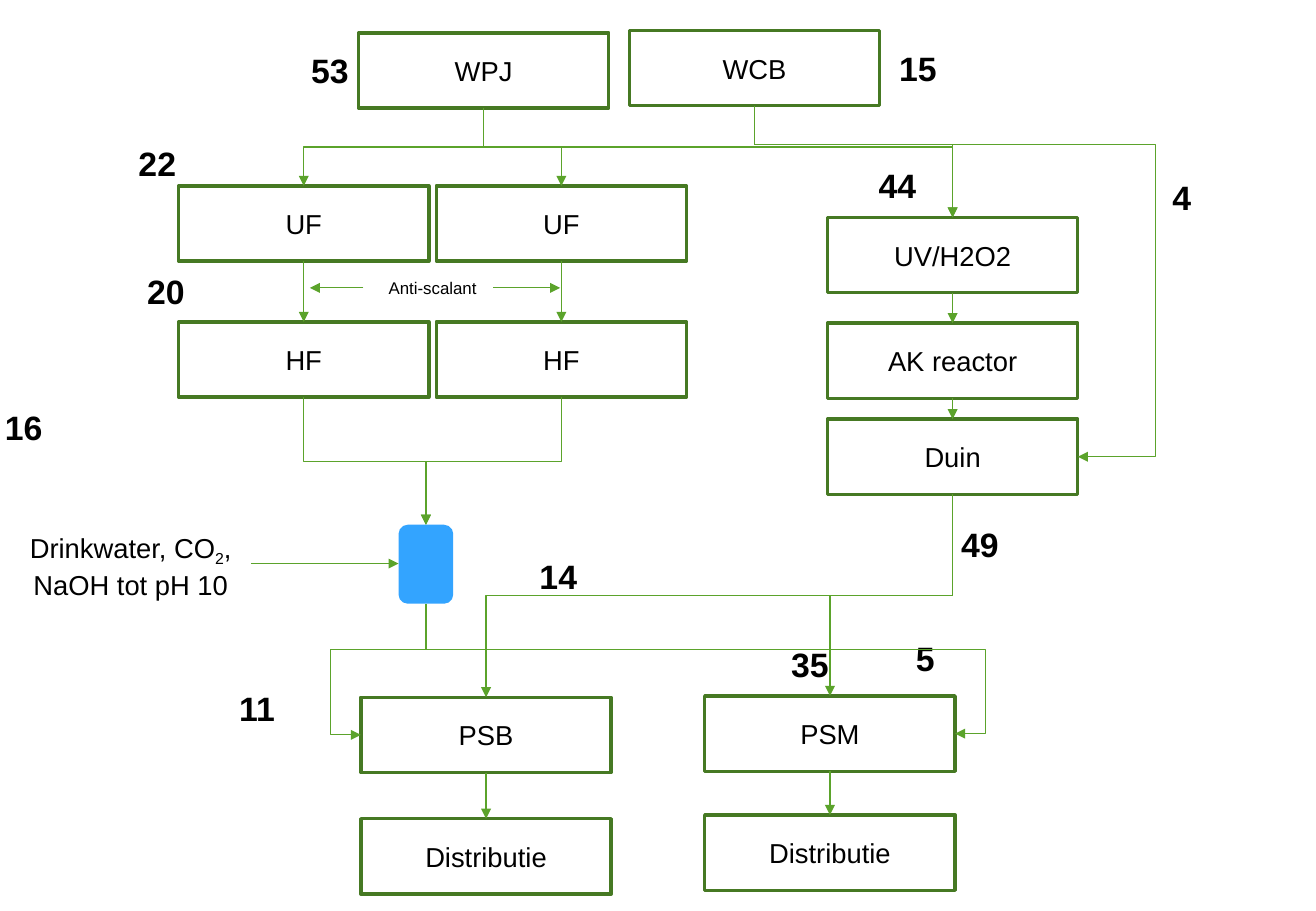
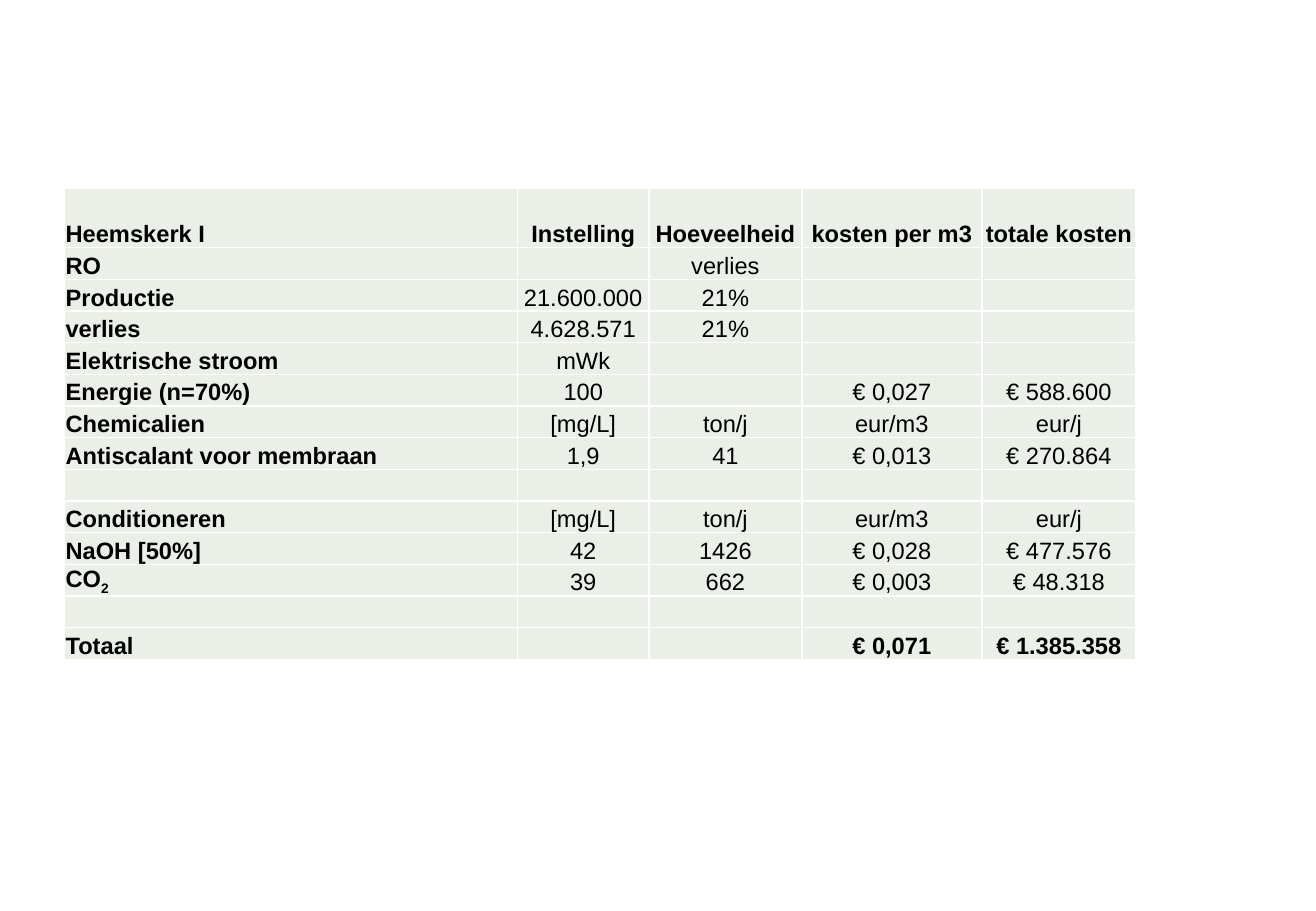
from lxml import etree
from pptx import Presentation
from pptx import util as u
from pptx.dml.color import RGBColor
from pptx.enum import shapes, text
from pptx.oxml import ns

FONT = "Arial"
BLACK, WHITE = "000000", "FFFFFF"
BOX_LINE, FLOW_LINE, TANK_FILL, CELL_FILL = "467923", "5BA32B", "33A4FF", "EAF0E8"
BOX_W, BOX_H = 2.06, 0.62
TOP, LEFT, BOTTOM, RIGHT = range(4)
CENTER = text.PP_ALIGN.CENTER

STEPS = {
    "wpj": ("WPJ", 2.95, 0.27),
    "wcb": ("WCB", 5.18, 0.25),
    "uf1": ("UF", 1.47, 1.53),
    "uf2": ("UF", 3.59, 1.53),
    "hf1": ("HF", 1.47, 2.65),
    "hf2": ("HF", 3.59, 2.65),
    "uv": ("UV/H2O2", 6.81, 1.79),
    "ak": ("AK reactor", 6.81, 2.66),
    "duin": ("Duin", 6.81, 3.45),
    "psb": ("PSB", 2.97, 5.74),
    "psm": ("PSM", 5.8, 5.73),
    "dist1": ("Distributie", 2.97, 6.74),
    "dist2": ("Distributie", 5.8, 6.71),
}
FLOWS = [
    ("53", 2.43, 0.36), ("15", 7.27, 0.34), ("22", 1.01, 1.13),
    ("20", 1.08, 2.18), ("16", -0.09, 3.3), ("44", 7.1, 1.31),
    ("4", 9.44, 1.41), ("14", 4.31, 4.53), ("11", 1.83, 5.61),
    ("5", 7.33, 5.2), ("49", 7.78, 4.26), ("35", 6.38, 5.25),
]
STRAIGHT = [("uf1", "hf1"), ("uf2", "hf2"), ("uv", "ak"), ("ak", "duin"),
            ("psb", "dist1"), ("psm", "dist2")]
BENT = [
    ("wpj", "uf1", 0.32), ("wpj", "uf2", 0.32), ("wpj", "uv", 0.32),
    ("wcb", "uv", 0.32), ("hf1", "tank", 0.53), ("hf2", "tank", 0.53),
    ("duin", "psb", 0.83), ("duin", "psm", 0.83),
]
SIDEWAYS = [
    ("wcb", "duin", RIGHT, 0.32, 0.64),
    ("tank", "psb", LEFT, 0.38, 0.25),
    ("tank", "psm", RIGHT, 0.38, 0.25),
]
DOSING = [((2.07, 4.64), (3.28, 4.64)), ((4.06, 2.37), (4.61, 2.37)),
          ((2.99, 2.37), (2.55, 2.37))]

COLUMNS = [3.73, 1.08, 1.26, 1.48, 1.27]
COSTS = [
    ("Heemskerk I", "Instelling", "Hoeveelheid", "kosten per m3", "totale kosten"),
    ("RO", "", "verlies", "", ""),
    ("Productie", "21.600.000", "21%", "", ""),
    ("verlies", "4.628.571", "21%", "", ""),
    ("Elektrische stroom", "mWk", "", "", ""),
    ("Energie (n=70%)", "100", "", "€ 0,027", "€ 588.600"),
    ("Chemicalien", "[mg/L]", "ton/j", "eur/m3", "eur/j"),
    ("Antiscalant voor membraan", "1,9", "41", "€ 0,013", "€ 270.864"),
    ("", "", "", "", ""),
    ("Conditioneren", "[mg/L]", "ton/j", "eur/m3", "eur/j"),
    ("NaOH [50%]", "42", "1426", "€ 0,028", "€ 477.576"),
    ("CO_2", "39", "662", "€ 0,003", "€ 48.318"),
    ("", "", "", "", ""),
    ("Totaal", "", "", "€ 0,071", "€ 1.385.358"),
]


def color(value):
    return RGBColor.from_string(value)


def write(paragraph, content, size, bold=False, align=CENTER):
    paragraph.alignment = align
    for index, piece in enumerate(content.split("_")):
        parts = [(piece, False)] if index == 0 else [(piece[:1], True), (piece[1:], False)]
        for words, lowered in parts:
            if not words:
                continue
            run = paragraph.add_run()
            run.text = words
            run.font.name = FONT
            run.font.size = u.Pt(size)
            run.font.bold = bold
            run.font.color.rgb = color(BLACK)
            if lowered:
                run.font._element.set("baseline", "-25000")


def add_label(slide, content, left, top, width, height, size, bold=False):
    label = slide.shapes.add_textbox(*map(u.Inches, (left, top, width, height)))
    label.text_frame.word_wrap = True
    write(label.text_frame.paragraphs[0], content, size, bold)


def add_step(slide, content, left, top):
    step = slide.shapes.add_shape(shapes.MSO_SHAPE.RECTANGLE,
                                  *map(u.Inches, (left, top, BOX_W, BOX_H)))
    step.shadow.inherit = False
    step.fill.solid()
    step.fill.fore_color.rgb = color(WHITE)
    step.line.color.rgb = color(BOX_LINE)
    step.line.width = u.Pt(2)
    step.text_frame.vertical_anchor = text.MSO_ANCHOR.MIDDLE
    write(step.text_frame.paragraphs[0], content, 16.2)
    return step


def add_tank(slide, left, top):
    tank = slide.shapes.add_shape(shapes.MSO_SHAPE.ROUNDED_RECTANGLE,
                                  *map(u.Inches, (left, top, 0.45, 0.65)))
    tank.shadow.inherit = False
    tank.fill.solid()
    tank.fill.fore_color.rgb = color(TANK_FILL)
    tank.line.fill.background()
    return tank


def add_arrow(slide, kind, start=(0, 0), end=(0, 0)):
    arrow = slide.shapes.add_connector(kind, *map(u.Inches, (*start, *end)))
    arrow.line.color.rgb = color(FLOW_LINE)
    arrow.line.width = u.Pt(0.75)
    etree.SubElement(arrow.line._get_or_add_ln(), ns.qn("a:tailEnd"), type="triangle")
    etree.SubElement(arrow._element.spPr, ns.qn("a:effectLst"))
    return arrow


def link(slide, kind, source, target, side=TOP):
    arrow = add_arrow(slide, kind)
    arrow.begin_connect(source, BOTTOM)
    arrow.end_connect(target, side)
    return arrow


def bend(arrow, drop, overshoot=None):
    dx, dy = arrow.end_x - arrow.begin_x, arrow.end_y - arrow.begin_y
    middle_x, middle_y = arrow.begin_x + dx / 2, arrow.begin_y + dy / 2
    span = abs(dx)
    arrow.left, arrow.top = int(middle_x - dy / 2), int(middle_y - span / 2)
    arrow.width, arrow.height = dy, span
    properties = arrow._element.spPr
    frame = properties.xfrm
    frame.rot = 270 if dx > 0 else 90
    frame.flipH, frame.flipV = dx > 0, False
    ratios = [u.Inches(drop) / dy]
    geometry = properties.find(ns.qn("a:prstGeom"))
    if overshoot is not None:
        ratios.append(1 + u.Inches(overshoot) / span)
        geometry.set("prst", "bentConnector4")
    guides = geometry.find(ns.qn("a:avLst"))
    for number, ratio in enumerate(ratios, 1):
        etree.SubElement(guides, ns.qn("a:gd"), name=f"adj{number}",
                         fmla=f"val {round(ratio * 100000)}")


def build_flow(slide, left, top):
    steps = {key: add_step(slide, name, left + x, top + y)
             for key, (name, x, y) in STEPS.items()}
    steps["tank"] = add_tank(slide, left + 3.28, top + 4.32)
    add_label(slide, "Drinkwater, CO_2, NaOH tot pH 10", left + 0.08, top + 4.32,
              1.99, 0.65, 16.2)
    add_label(slide, "Anti-scalant", left + 2.99, top + 2.24, 1.14, 0.27, 10)
    for amount, x, y in FLOWS:
        add_label(slide, amount, left + x, top + y, 0.57, 0.44, 20, True)
    for (x1, y1), (x2, y2) in DOSING:
        add_arrow(slide, shapes.MSO_CONNECTOR.STRAIGHT,
                  (left + x1, top + y1), (left + x2, top + y2))
    for source, target in STRAIGHT:
        link(slide, shapes.MSO_CONNECTOR.STRAIGHT, steps[source], steps[target])
    elbow = shapes.MSO_CONNECTOR.ELBOW
    for source, target, drop in BENT:
        bend(link(slide, elbow, steps[source], steps[target]), drop)
    for source, target, side, drop, overshoot in SIDEWAYS:
        bend(link(slide, elbow, steps[source], steps[target], side), drop, overshoot)


def format_cell(cell, content, bold, align):
    cell.margin_left = cell.margin_right = cell.margin_top = u.Inches(0.01)
    cell.margin_bottom = 0
    cell.vertical_anchor = text.MSO_ANCHOR.BOTTOM
    properties = cell._tc.get_or_add_tcPr()
    for edge in ("lnL", "lnR", "lnT", "lnB"):
        border = etree.SubElement(properties, ns.qn(f"a:{edge}"), w=str(u.Pt(1)))
        paint = etree.SubElement(border, ns.qn("a:solidFill"))
        etree.SubElement(paint, ns.qn("a:srgbClr"), val=WHITE)
    cell.fill.solid()
    cell.fill.fore_color.rgb = color(CELL_FILL)
    paragraph = cell.text_frame.paragraphs[0]
    write(paragraph, content, 14, bold, align)
    if not content:
        etree.SubElement(paragraph._p, ns.qn("a:endParaRPr"), sz="1400")


def build_costs(slide, left, top, width, height):
    costs = slide.shapes.add_table(len(COSTS), len(COLUMNS),
                                   *map(u.Inches, (left, top, width, height))).table
    costs.first_row = costs.horz_banding = False
    for column, share in zip(costs.columns, COLUMNS):
        column.width = u.Inches(width * share / sum(COLUMNS))
    header = 0.49
    last = len(COSTS) - 1
    for r, values in enumerate(COSTS):
        costs.rows[r].height = u.Inches(header if r == 0 else (height - header) / last)
        for c, value in enumerate(values):
            format_cell(costs.cell(r, c), value, c == 0 or r in (0, last),
                        text.PP_ALIGN.LEFT if c == 0 else CENTER)


def main():
    deck = Presentation()
    deck.slide_width, deck.slide_height = u.Inches(10.83), u.Inches(7.5)
    blank = deck.slide_layouts[6]
    build_flow(deck.slides.add_slide(blank), 0, 0)
    build_costs(deck.slides.add_slide(blank), 0.53, 1.55, 8.82, 3.88)
    deck.save("out.pptx")


if __name__ == "__main__":
    main()
